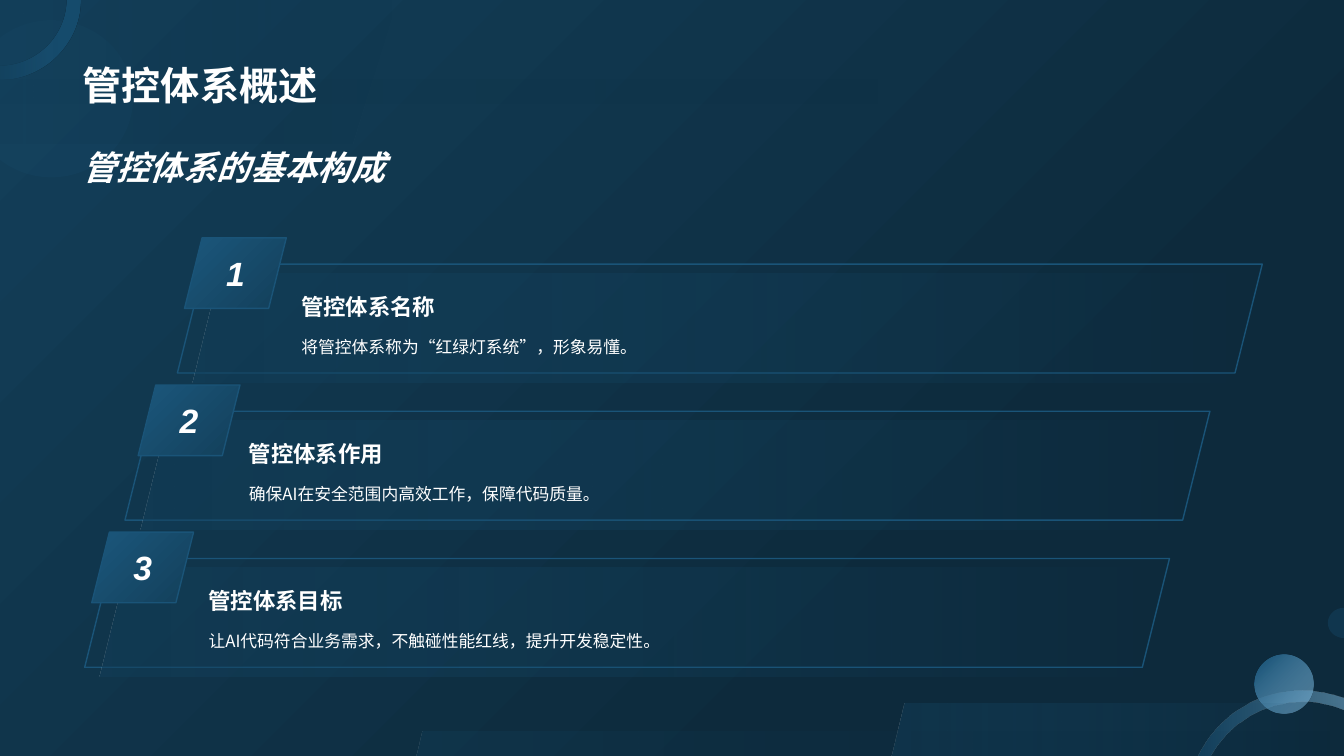
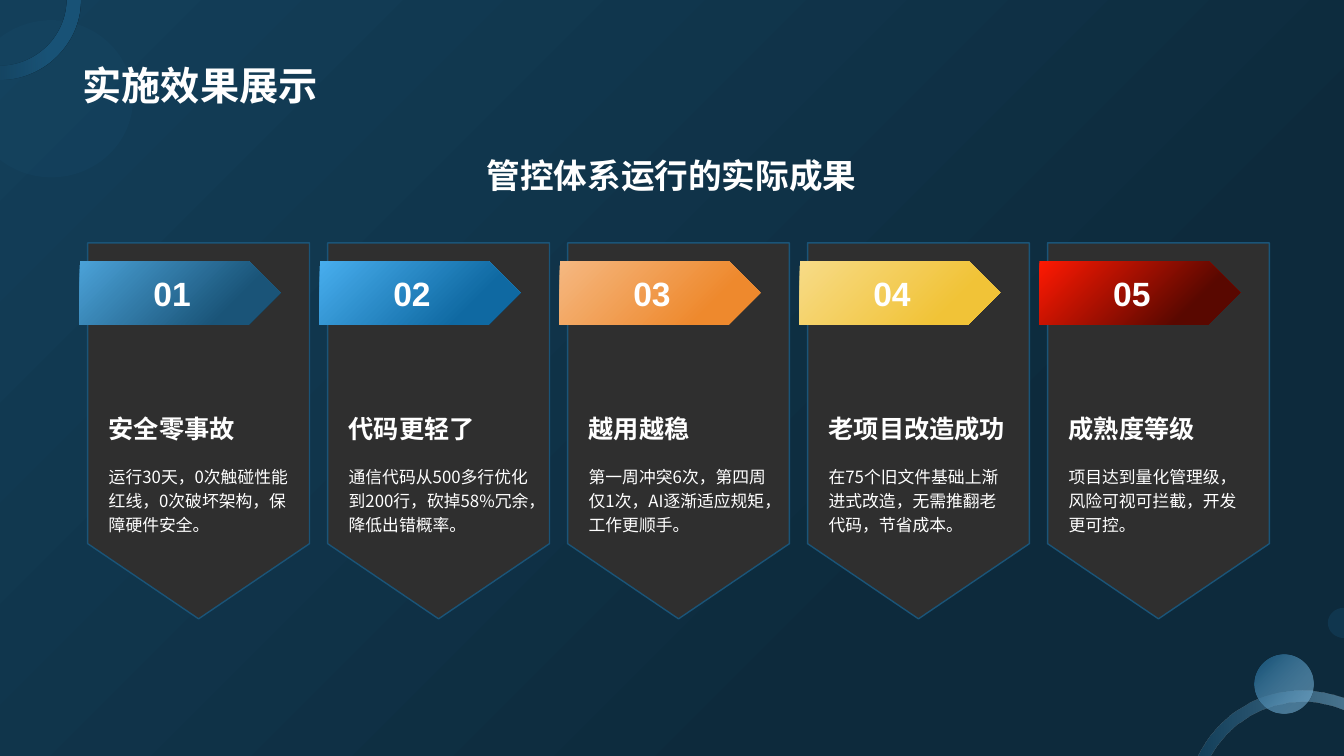
from math import cos, radians, sin, tan

from lxml.etree import Element
from pptx import Presentation
from pptx.dml.color import RGBColor
from pptx.enum.shapes import MSO_SHAPE as SHAPE
from pptx.enum.text import MSO_ANCHOR as ANCHOR, PP_ALIGN as ALIGN
from pptx.oxml import parse_xml
from pptx.oxml.ns import nsdecls, qn
from pptx.util import Inches, Pt

COLORS = {
    "white": "FFFFFF", "navy": "133F5A", "night": "0D2A3C", "blue": "1A5478",
    "ice": "87C1E5", "card": "2F2F2F",
    "steel": "4BA2D8", "sky": "48AEEE", "azure": "0F69A2",
    "peach": "F5B881", "orange": "EE892D", "cream": "F7DB87",
    "yellow": "F1C337", "red": "FF1902", "maroon": "590800",
}
CJK, LATIN = "Noto Sans CJK SC", "Arial"

# A fill is (stops, angle); a stop is (position %, colour, opacity %).
BACKDROP = ([(0, "navy", 100), (72, "night", 100)], 45)
HAZE = ([(0, "navy", 36), (100, "night", 0)], 0)
GLOW = ([(0, "navy", 51), (100, "blue", 0)], 0)
BADGE = ([(0, "navy", 100), (89, "blue", 100)], 225)

OVERVIEW = {
    "title": "管控体系概述",
    "heading": "管控体系的基本构成",
    "rows": [  # left edge, name, text
        (1.76, "管控体系名称", "将管控体系称为“红绿灯系统”，形象易懂。"),
        (1.24, "管控体系作用", "确保AI在安全范围内高效工作，保障代码质量。"),
        (0.84, "管控体系目标", "让AI代码符合业务需求，不触碰性能红线，提升开发稳定性。"),
    ],
}
RESULTS = {
    "title": "实施效果展示",
    "heading": "管控体系运行的实际成果",
    "cards": [  # name, text, gradient of the arrow
        ("安全零事故", "运行30天，0次触碰性能红线，0次破坏架构，保障硬件安全。",
         "steel", "blue"),
        ("代码更轻了", "通信代码从500多行优化到200行，砍掉58%冗余，降低出错概率。",
         "sky", "azure"),
        ("越用越稳", "第一周冲突6次，第四周仅1次，AI逐渐适应规矩，工作更顺手。",
         "peach", "orange"),
        ("老项目改造成功", "在75个旧文件基础上渐进式改造，无需推翻老代码，节省成本。",
         "cream", "yellow"),
        ("成熟度等级", "项目达到量化管理级，风险可视可拦截，开发更可控。",
         "red", "maroon"),
    ],
}
BANDS = [
    (HAZE, [(0, 0), (3.94, 0), (3.49, 1.42), (0, 1.42)]),
    (GLOW, [(8.97, 6.98), (13.33, 6.98), (13.33, 7.5), (8.84, 7.5)]),
    (HAZE, [(4.19, 7.26), (13.33, 7.26), (13.33, 7.5), (4.13, 7.5)]),
    (HAZE, [(0, 0.79), (8.84, 0.79), (8.84, 1.03), (0, 1.03)]),
]


def paint(fill, holder, stops, angle=0):
    """Fill with a gradient, or with one see-through colour if there is one stop."""
    tints = [f'<a:srgbClr val="{COLORS[c]}"><a:alpha val="{a * 1000}"/></a:srgbClr>'
             for _, c, a in stops]
    if len(stops) == 1:
        xml = f'<a:solidFill {nsdecls("a")}>{tints[0]}</a:solidFill>'
    else:
        gs = "".join(f'<a:gs pos="{stop[0] * 1000}">{tint}</a:gs>'
                     for stop, tint in zip(stops, tints))
        xml = (f'<a:gradFill {nsdecls("a")} rotWithShape="1"><a:gsLst>{gs}</a:gsLst>'
               f'<a:lin ang="{angle * 60000}" scaled="0"/></a:gradFill>')
    fill.background()
    holder.replace(holder.find(qn("a:noFill")), parse_xml(xml))


def dress(sp, fill=None, line=None):
    sp.shadow.inherit = False
    if fill:
        paint(sp.fill, sp._element.spPr, *fill)
    else:
        sp.fill.background()
    if line:
        sp.line.color.rgb = RGBColor.from_string(COLORS[line])
        sp.line.width = Pt(1)
    else:
        sp.line.fill.background()
    return sp


def add_shape(s, kind, x, y, w, h, fill=None, line=None):
    box = [Inches(v) for v in (x, y, w, h)]
    return dress(s.shapes.add_shape(kind, *box), fill, line)


def add_outline(s, steps, fill):
    """Draw a closed outline; a step is a point, or a list of three for a curve."""
    points = []
    for step in steps:
        points += step if isinstance(step, list) else [step]
    pts = [(Inches(x), Inches(y)) for x, y in points]
    builder = s.shapes.build_freeform(*pts[0], scale=1.0)
    builder.add_line_segments(pts[1:], close=True)
    sp = builder.convert_to_shape()
    lines = iter(sp._element.findall(".//" + qn("a:lnTo")))
    for step in steps[1:]:
        line = next(lines)
        if isinstance(step, list):
            curve = Element(qn("a:cubicBezTo"))
            line.addprevious(curve)
            for part in (line, next(lines), next(lines)):
                curve.append(part[0])
                part.getparent().remove(part)
    return dress(sp, fill)


def arc(cx, cy, rx, ry, *angles):
    """Curves through the given angles, in degrees clockwise from the right."""
    def at(a, pull=0):
        return (cx + rx * (cos(a) - pull * sin(a)), cy + ry * (sin(a) + pull * cos(a)))

    turns = [radians(a) for a in angles]
    steps = [at(turns[0])]
    for a, b in zip(turns, turns[1:]):
        pull = 4 / 3 * tan((b - a) / 4)
        steps.append([at(a, pull), at(b, -pull), at(b)])
    return steps


def write(tf, text, size, font=CJK, bold=False, italic=False, align=ALIGN.LEFT,
          anchor=ANCHOR.TOP, spacing=None, wrap=True):
    tf.word_wrap = wrap
    tf.vertical_anchor = anchor
    p = tf.paragraphs[0]
    p.alignment = align
    if spacing:
        p.line_spacing = spacing
    r = p.add_run()
    r.text = text
    r.font.name, r.font.size = font, Pt(size)
    r.font.bold, r.font.italic = bold, italic
    r.font.color.rgb = RGBColor.from_string(COLORS["white"])
    r.font._element.append(parse_xml(f'<a:ea {nsdecls("a")} typeface="{font}"/>'))


def add_text(s, x, y, w, h, text, size, **fmt):
    box = s.shapes.add_textbox(*[Inches(v) for v in (x, y, w, h)])
    write(box.text_frame, text, size, **fmt)


def add_title(s, text):
    title = s.shapes.title
    write(title.text_frame, text, 28, bold=True, anchor=ANCHOR.BOTTOM)
    s.shapes._spTree.append(title._element)  # bring to front


def decorate_master(prs, s):
    """Draw the shared corner circles on a slide and move them to the master."""
    master = prs.slide_master
    fill = master.background.fill
    fill.background()
    paint(fill, master.element.find(".//" + qn("p:bgPr")), *BACKDROP)
    corner_ring = arc(0, 0, 0.8, 0.79, 0, 90) + arc(0, 0, 0.66, 0.65, 90, 0)
    bottom_ring = (arc(12.92, 8.01, 1.16, 1.16, 206, 270, 290.7)
                   + arc(12.92, 8.01, 1.05, 1.05, 293, 270, 209))
    parts = [
        add_outline(s, arc(0.51, 0.98, 0.81, 0.78, -129, -90, 0, 90, 129),
                    ([(0, "blue", 15)],)),
        add_outline(s, corner_ring, ([(39, "blue", 100), (100, "blue", 15)], 180)),
        add_outline(s, bottom_ring, ([(0, "ice", 49), (100, "blue", 50)], 180)),
        add_outline(s, arc(13.33, 6.18, 0.16, 0.15, 90, 180, 270),
                    ([(0, "blue", 30)],)),
        add_shape(s, SHAPE.OVAL, 12.44, 6.49, 0.59, 0.59,
                  ([(1, "ice", 50), (91, "blue", 100)], 225)),
    ]
    for i, sp in enumerate(parts):
        sp._element.nvSpPr.cNvPr.set("id", str(100 + i))
        master.shapes._spTree.append(sp._element)


def build_overview(s):
    for fill, points in BANDS:
        add_outline(s, points, fill)
    add_text(s, 0.72, 1.24, 11.88, 0.84, OVERVIEW["heading"], 24, bold=True,
             italic=True, anchor=ANCHOR.MIDDLE)
    for i, (x, name, text) in enumerate(OVERVIEW["rows"]):
        y = 2.62 + 1.46 * i
        add_shape(s, SHAPE.PARALLELOGRAM, x, y, 10.76, 1.08, line="blue")
        add_shape(s, SHAPE.PARALLELOGRAM, x + 0.15, y + 0.09, 10.69, 1.08, GLOW)
        add_text(s, x + 1.13, y + 0.13, 9, 0.47, name, 16, bold=True,
                 anchor=ANCHOR.BOTTOM)
        add_text(s, x + 1.13, y + 0.63, 9, 0.49, text, 12, spacing=1.2)
        badge = add_shape(s, SHAPE.PARALLELOGRAM, 1.83 - 0.46 * i, y - 0.26,
                          1.01, 0.7, BADGE, "blue")
        write(badge.text_frame, str(i + 1), 24, font=LATIN, bold=True, italic=True,
              align=ALIGN.CENTER, anchor=ANCHOR.MIDDLE, wrap=False)
    add_title(s, OVERVIEW["title"])


def build_results(s):
    for i, (name, text, light, dark) in enumerate(RESULTS["cards"]):
        x = 0.87 + 2.38 * i
        add_shape(s, SHAPE.FLOWCHART_OFFPAGE_CONNECTOR, x, 2.41, 2.2, 3.73,
                  ([(0, "card", 100)],), "blue")
        add_text(s, x + 0.11, 3.57, 1.99, 0.88, name, 18, bold=True,
                 anchor=ANCHOR.BOTTOM)
        add_text(s, x + 0.11, 4.54, 1.99, 1.31, text, 12, spacing=1.2)
        arrow = add_shape(s, SHAPE.PENTAGON, x - 0.08, 2.59, 1.99, 0.63,
                          ([(0, light, 100), (75, dark, 100)], 45))
        write(arrow.text_frame, f"{i + 1:02}", 24, font=LATIN, bold=True,
              align=ALIGN.CENTER, anchor=ANCHOR.MIDDLE, wrap=False)
    add_text(s, 0.72, 1.36, 11.88, 0.76, RESULTS["heading"], 24, bold=True,
             align=ALIGN.CENTER, anchor=ANCHOR.MIDDLE)
    add_title(s, RESULTS["title"])


def main():
    prs = Presentation()
    prs.slide_width, prs.slide_height = Inches(13.33), Inches(7.5)
    layout = prs.slide_layouts[5]  # title only
    title, *footers = layout.placeholders
    for footer in footers:
        layout.shapes._spTree.remove(footer._element)
    title.left, title.top = Inches(0.72), Inches(0.14)
    title.width, title.height = Inches(11.88), Inches(0.99)
    overview, results = [prs.slides.add_slide(layout) for _ in range(2)]
    decorate_master(prs, overview)
    build_overview(overview)
    build_results(results)
    prs.save("out.pptx")


if __name__ == "__main__":
    main()
